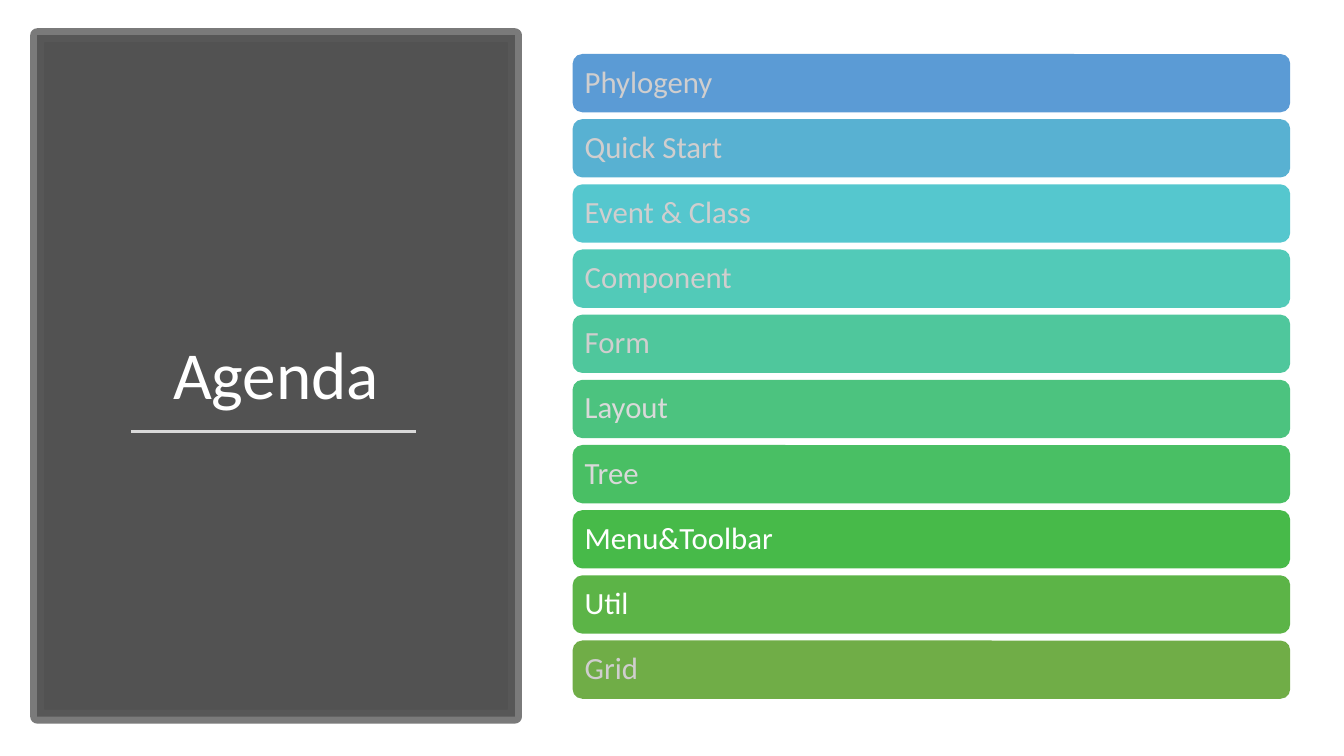
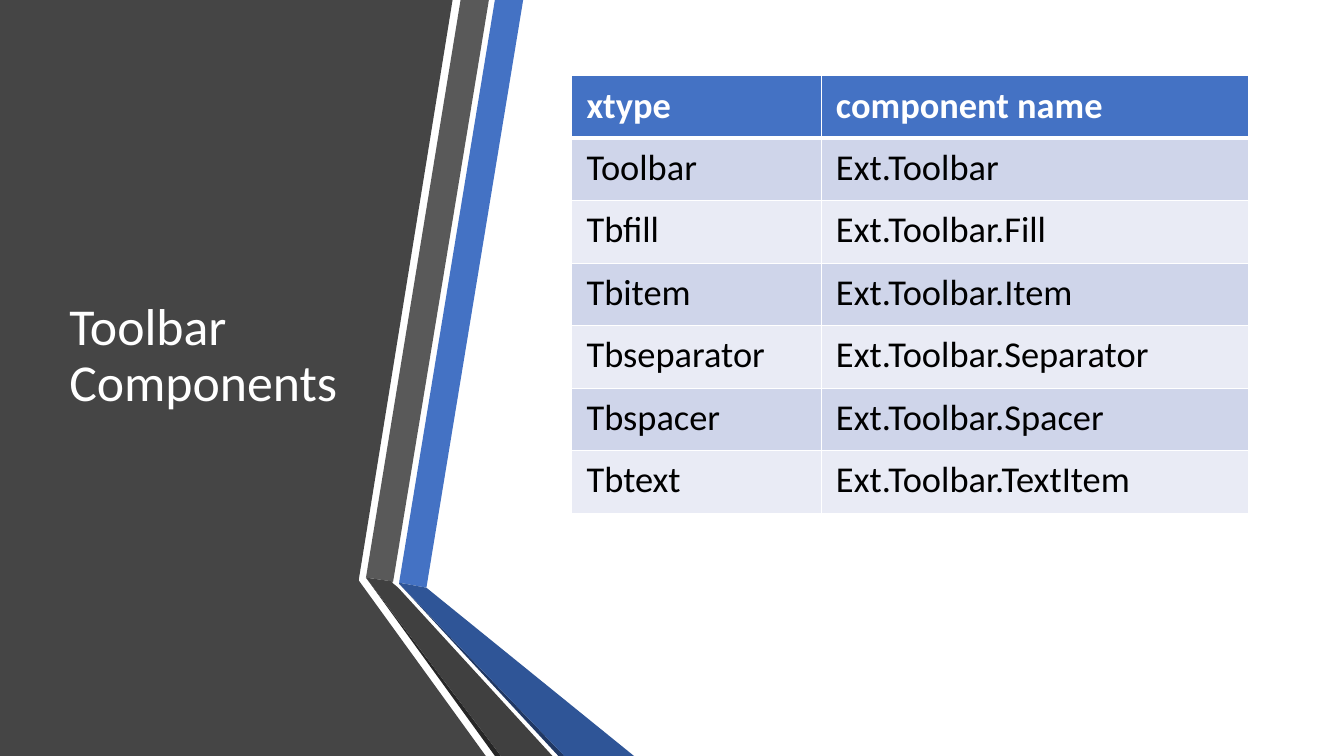
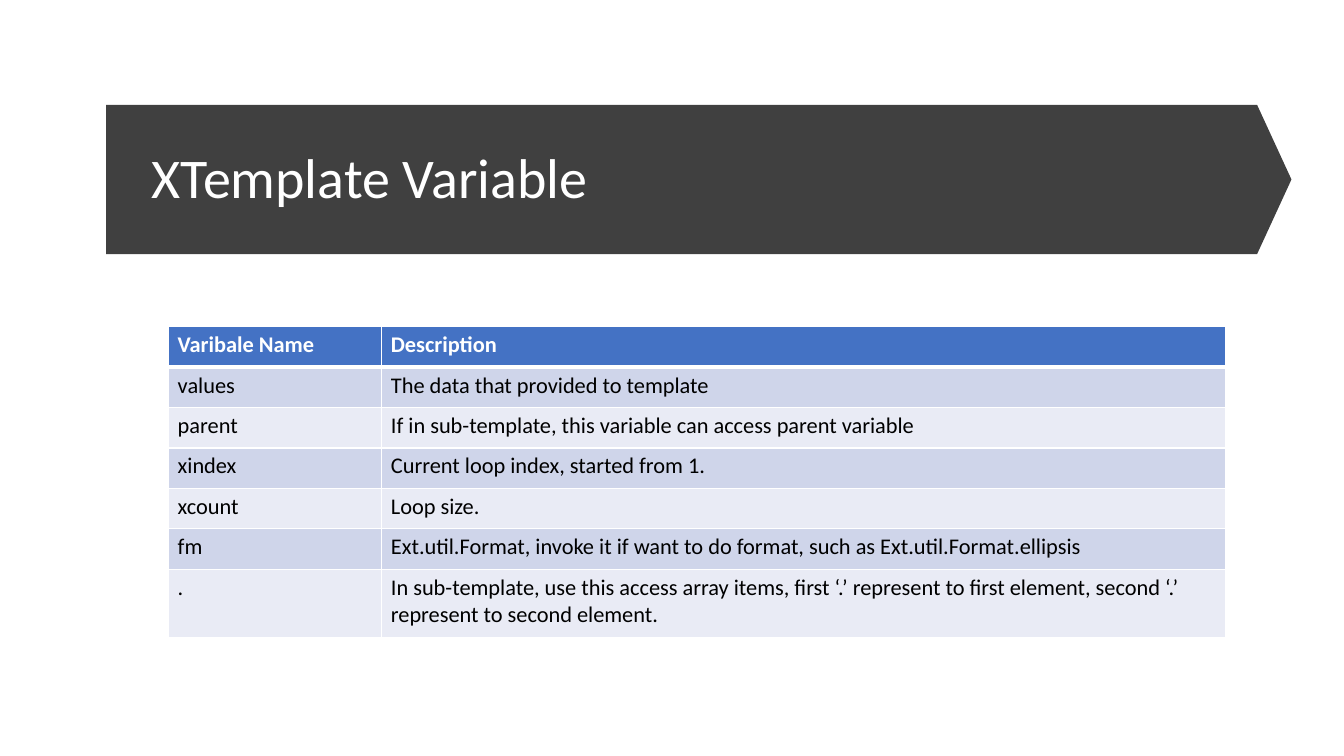
from lxml import etree
from pptx import Presentation, util as u
from pptx.dml.color import RGBColor
from pptx.enum import shapes, text
from pptx.oxml.ns import qn

FONT = "Calibri"
HUES = {
    "white": "FFFFFF", "black": "000000", "ash": "D9D9D9", "dim": "D0CECE",
    "panel": "404040", "frame": "595959", "slate": "454545", "ink": "262626",
    "blue": "4472C4", "deep": "2F5597", "navy": "203864",
    "band": "CFD5EA", "pale": "E9EBF5",
}


def rgb(hue):
    return RGBColor.from_string(HUES.get(hue, hue))


def fade(fill, share):
    for tint in fill.iter(qn("a:srgbClr")):
        etree.SubElement(tint, qn("a:alpha"), val=str(share * 1000))


def write(frame, words, size=22, hue="white", bold=False, align="LEFT",
          anchor="MIDDLE", pad=(7.2, 3.6), lead=0.9):
    frame.word_wrap = True
    frame.vertical_anchor = getattr(text.MSO_ANCHOR, anchor)
    frame.margin_left = frame.margin_right = u.Pt(pad[0])
    frame.margin_top = frame.margin_bottom = u.Pt(pad[1])
    para = frame.paragraphs[0]
    para.alignment = getattr(text.PP_ALIGN, align)
    para.line_spacing = lead
    run = para.add_run()
    run.text = words
    run.font.name, run.font.size, run.font.bold = FONT, u.Pt(size), bold
    run.font.color.rgb = rgb(hue)


class Deck:
    def __init__(self):
        self.show = Presentation()
        self.show.slide_width, self.show.slide_height = u.Pt(960), u.Pt(540)
        self.slide = None

    def page(self):
        self.slide = self.show.slides.add_slide(self.show.slide_layouts[6])

    def paint(self, shape, hue):
        shape.shadow.inherit = False
        shape.fill.solid()
        shape.fill.fore_color.rgb = rgb(hue)
        shape.line.fill.background()
        return shape

    def block(self, kind, box, hue):
        kind = getattr(shapes.MSO_SHAPE, kind)
        return self.paint(self.slide.shapes.add_shape(kind, *map(u.Pt, box)), hue)

    def shard(self, hue, *points):
        first, *rest = [(u.Pt(x), u.Pt(y)) for x, y in points]
        pen = self.slide.shapes.build_freeform(*first, scale=1.0)
        pen.add_line_segments(rest, close=True)
        return self.paint(pen.convert_to_shape(), hue)

    def title(self, words, box, **style):
        area = self.slide.shapes.add_textbox(*map(u.Pt, box))
        write(area.text_frame, words, **style)

    def rule(self, ends, hue, width):
        line = self.slide.shapes.add_connector(
            shapes.MSO_CONNECTOR.STRAIGHT, *map(u.Pt, ends))
        line.line.color.rgb = rgb(hue)
        line.line.width = u.Pt(width)
        etree.SubElement(line._element.spPr, qn("a:effectLst"))

    def edge(self, cell, head):
        props = cell._tc.get_or_add_tcPr()
        for side in "LRTB":
            width = 3 if head and side == "B" else 1
            line = etree.SubElement(props, qn("a:ln" + side), w=str(u.Pt(width)))
            fill = etree.SubElement(line, qn("a:solidFill"))
            etree.SubElement(fill, qn("a:srgbClr"), val=HUES["white"])

    def table(self, rows, spot, widths, heights, size, pad):
        box = (*spot, sum(widths), sum(heights))
        grid = self.slide.shapes.add_table(
            len(rows), len(widths), *map(u.Pt, box)).table
        grid.horz_banding = False
        for col, width in zip(grid.columns, widths):
            col.width = u.Pt(width)
        for i, (row, high) in enumerate(zip(rows, heights)):
            grid.rows[i].height = u.Pt(high)
            head = i == 0
            back = "blue" if head else ("pale", "band")[i % 2]
            for j, words in enumerate(row):
                cell = grid.cell(i, j)
                self.edge(cell, head)
                cell.fill.solid()
                cell.fill.fore_color.rgb = rgb(back)
                cell.vertical_anchor = text.MSO_ANCHOR.TOP
                cell.margin_left = cell.margin_right = u.Pt(pad[0])
                cell.margin_top = cell.margin_bottom = u.Pt(pad[1])
                para = cell.text_frame.paragraphs[0]
                run = para.add_run()
                run.text = words
                run.font.name, run.font.size = FONT, u.Pt(size)
                run.font.bold = head
                run.font.color.rgb = rgb("white" if head else "black")


def agenda(deck):
    deck.page()
    panel = deck.block("RECTANGLE", (26.6, 25.2, 341.3, 486.7), "panel")
    panel.line.color.rgb = rgb("frame")
    panel.line.width = u.Pt(10)
    props = panel._element.spPr
    fade(props.find(qn("a:solidFill")), 90)
    fade(props.find(qn("a:ln")), 80)
    deck.title("Agenda", (53.3, 72, 288, 227.5), size=48, align="CENTER",
               anchor="BOTTOM")
    deck.rule((93.6, 308.2, 297.4, 308.2), "ash", 1.75)
    topics = [
        ("Phylogeny", "5B9BD5", "dim"), ("Quick Start", "58B1D2", "dim"),
        ("Event & Class", "55C7CE", "dim"), ("Component", "52CAB8", "dim"),
        ("Form", "4FC79C", "dim"), ("Layout", "4CC37F", "ash"),
        ("Tree", "49BF64", "ash"), ("Menu&Toolbar", "47BA49", "white"),
        ("Util", "5CB447", "white"), ("Grid", "70AD47", "dim"),
    ]
    for i, (words, back, hue) in enumerate(topics):
        bar = deck.block("ROUNDED_RECTANGLE",
                         (409, 38.6 + 46.55 * i, 512.6, 41.6), back)
        write(bar.text_frame, words, hue=hue, pad=(6.6, 4))


def parts(deck):
    deck.page()
    deck.shard("slate", (0, 0), (254.2, 0), (323.3, 0), (256.3, 414),
               (256.3, 414.7), (347, 540), (0, 540))
    deck.shard("blue", (285.1, 416.2), (304.6, 419.8), (373.7, 0), (353.5, 0))
    deck.shard("frame", (349.2, 0), (329, 0), (261.4, 412.6), (280.8, 415.4))
    deck.shard("ink", (261.4, 412.6), (353.5, 540), (357.8, 540))
    deck.shard("navy", (285.1, 416.9), (398.9, 540), (403.2, 540))
    deck.shard("deep", (285.1, 416.9), (403.2, 540), (452.9, 540),
               (304.6, 419.8), (285.1, 416.2))
    deck.shard("panel", (394.6, 540), (284.4, 419.8), (280.1, 416.2),
               (280.8, 415.4), (261.4, 412.6), (357.8, 540))
    deck.title("Toolbar Components", (42.5, 54, 218.9, 401.8), size=37)
    rows = [
        ("xtype", "component name"),
        ("Toolbar", "Ext.Toolbar"),
        ("Tbfill", "Ext.Toolbar.Fill"),
        ("Tbitem", "Ext.Toolbar.Item"),
        ("Tbseparator", "Ext.Toolbar.Separator"),
        ("Tbspacer", "Ext.Toolbar.Spacer"),
        ("Tbtext", "Ext.Toolbar.TextItem"),
    ]
    deck.table(rows, (408.4, 54.2), (178.2, 305), [44.64] * 7, 26, (10.6, 5.3))


def fields(deck):
    deck.page()
    arrow = deck.block("PENTAGON", (75.8, 74.9, 846.7, 106.6), "panel")
    arrow.adjustments[0] = 0.23
    deck.title("XTemplate Variable", (101.3, 94.8, 789, 67.7), size=40)
    rows = [
        ("Varibale Name", "Description"),
        ("values", "The data that provided to template"),
        ("parent", "If in sub-template, this variable can access parent variable"),
        ("xindex", "Current loop index, started from 1."),
        ("xcount", "Loop size."),
        ("fm", "Ext.util.Format, invoke it if want to do format, "
               "such as Ext.util.Format.ellipsis"),
        (".", "In sub-template, use this access array items, first ‘.’ represent "
              "to first element, second ‘.’ represent to second element."),
    ]
    deck.table(rows, (120.4, 233.3), (152.3, 602.6), [28.9] * 6 + [48.6], 16,
               (6.6, 3.3))


def main():
    deck = Deck()
    for build in (agenda, parts, fields):
        build(deck)
    deck.show.save("out.pptx")


if __name__ == "__main__":
    main()
